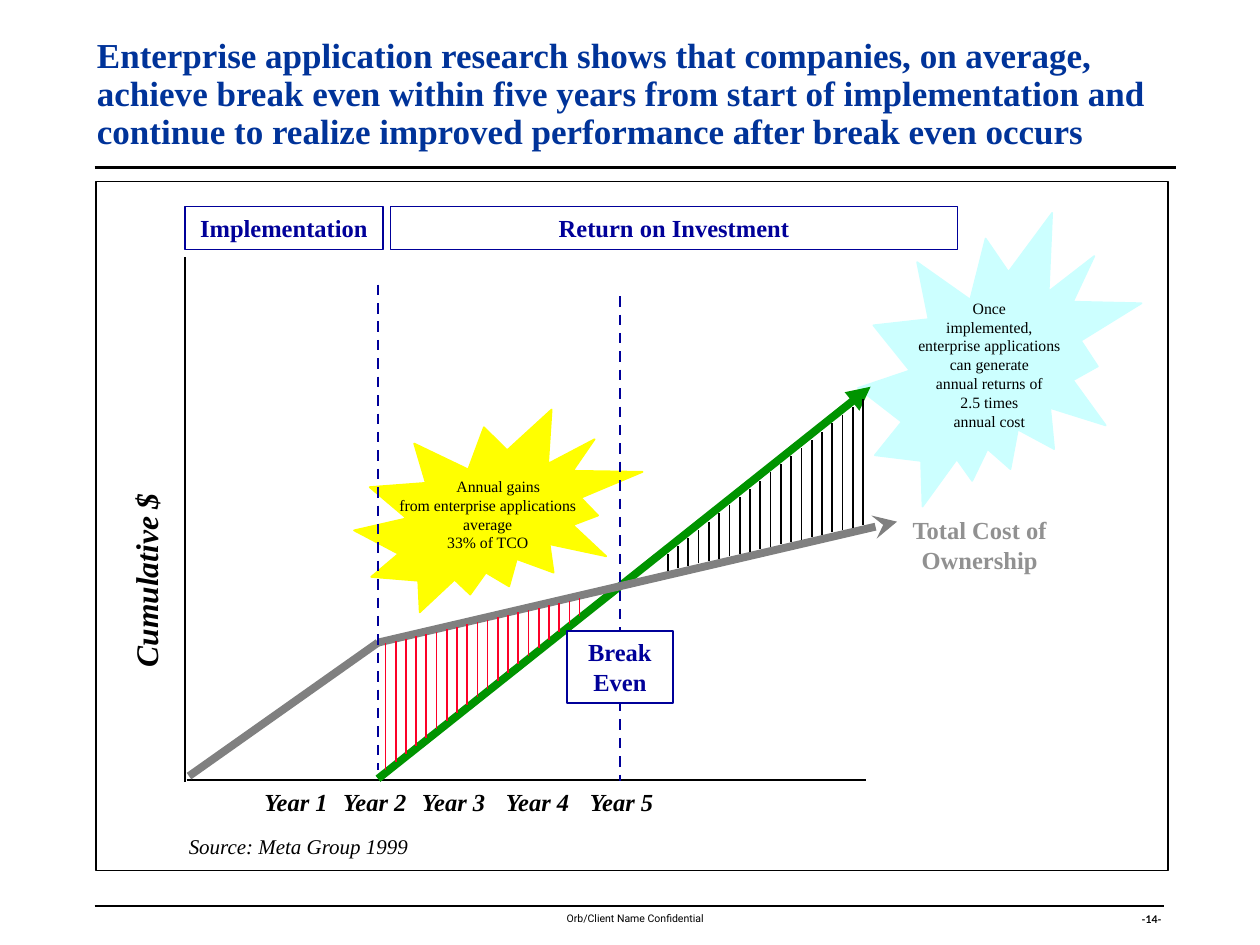
import pptx
import pptx.dml.color
import pptx.enum.dml
import pptx.enum.shapes
import pptx.enum.text
import pptx.oxml.ns
import pptx.util
from lxml import etree

Pt = pptx.util.Pt
RGBColor = pptx.dml.color.RGBColor
SHAPES = pptx.enum.shapes.MSO_SHAPE
ALIGN = pptx.enum.text.PP_ALIGN
ANCHOR = pptx.enum.text.MSO_ANCHOR
qn = pptx.oxml.ns.qn

BLACK = RGBColor(0x00, 0x00, 0x00)
WHITE = RGBColor(0xFF, 0xFF, 0xFF)
TITLE_BLUE = RGBColor(0x00, 0x33, 0x99)
NAVY = RGBColor(0x00, 0x00, 0x99)
GREEN = RGBColor(0x00, 0x94, 0x00)
GRAY = RGBColor(0x80, 0x80, 0x80)
LABEL_GRAY = RGBColor(0x91, 0x91, 0x91)
RED = RGBColor(0xFC, 0x01, 0x28)
YELLOW = RGBColor(0xFF, 0xFF, 0x00)
PALE_CYAN = RGBColor(0xCC, 0xFF, 0xFF)

SERIF = "Times New Roman"
TITLE = (
    "Enterprise application research shows that companies, on average, "
    "achieve break even within five years from start of implementation and "
    "continue to realize improved performance after break even occurs"
)

# Ends of the two crossing lines of the graph
COST_START, COST_END = (216, 367.2), (512.6, 298.1)
RETURN_START, RETURN_END = (216, 445), (497.5, 221)
HATCH_COUNT = 20


def fill_text(shape, lines, size, color=BLACK, font=SERIF, bold=False, italic=False,
              align=ALIGN.LEFT, anchor=ANCHOR.TOP, wrap=True):
    frame = shape.text_frame
    frame.word_wrap = wrap
    frame.vertical_anchor = anchor
    frame.margin_left = frame.margin_right = Pt(7.2)
    frame.margin_top = frame.margin_bottom = Pt(3.6)
    for index, line in enumerate(lines):
        para = frame.add_paragraph() if index else frame.paragraphs[0]
        para.alignment = align
        span = para.add_run()
        span.text = line
        span.font.name = font
        span.font.size = Pt(size)
        span.font.bold = bold
        span.font.italic = italic
        span.font.color.rgb = color
    return frame


def add_label(page, place, lines, size, **style):
    box = page.shapes.add_textbox(*map(Pt, place))
    fill_text(box, lines, size, **style)
    return box


def add_figure(page, kind, place, fill, outline):
    figure = page.shapes.add_shape(kind, *map(Pt, place))
    figure.shadow.inherit = False
    figure.fill.solid()
    figure.fill.fore_color.rgb = fill
    figure.line.color.rgb = outline
    figure.line.width = Pt(1)
    return figure


def add_heading_box(page, place, text):
    box = add_figure(page, SHAPES.RECTANGLE, place, WHITE, NAVY)
    fill_text(box, [text], 14, color=NAVY, bold=True, align=ALIGN.CENTER)


def add_burst(page, place, color, lines):
    burst = add_figure(page, SHAPES.EXPLOSION2, place, color, color)
    return fill_text(burst, lines, 9, align=ALIGN.CENTER, anchor=ANCHOR.MIDDLE, wrap=False)


def add_line(page, start, end, color=BLACK, width=1, dashed=False, arrow=None):
    line = page.shapes.add_connector(
        pptx.enum.shapes.MSO_CONNECTOR.STRAIGHT, *map(Pt, start + end))
    line.line.color.rgb = color
    line.line.width = Pt(width)
    if dashed:
        line.line.dash_style = pptx.enum.dml.MSO_LINE.DASH
    properties = line._element.spPr
    if arrow:
        etree.SubElement(properties.find(qn("a:ln")), qn("a:tailEnd"), type=arrow)
    etree.SubElement(properties, qn("a:effectLst"))


def height_at(x, start, end):
    return start[1] + (x - start[0]) * (end[1] - start[1]) / (end[0] - start[0])


def add_hatching(page, first, last, color, cost_gap, return_gap):
    """Fill the area between cost and return with evenly spaced vertical lines."""
    step = (last - first) / (HATCH_COUNT - 1)
    for index in range(HATCH_COUNT):
        x = first + index * step
        cost = height_at(x, COST_START, COST_END) + cost_gap
        gain = height_at(x, RETURN_START, RETURN_END) + return_gap
        add_line(page, (x, cost), (x, gain), color)


def add_title(page):
    title = page.shapes.title
    title.left, title.top, title.width, title.height = map(Pt, (48.2, 30.2, 617.8, 48.2))
    frame = fill_text(title, [TITLE], 20, color=TITLE_BLUE, bold=True, anchor=ANCHOR.MIDDLE)
    frame.auto_size = pptx.enum.text.MSO_AUTO_SIZE.NONE
    frame.paragraphs[0].line_spacing = 0.9


def add_footer(page):
    add_label(page, (59.8, 517.7, 606.2, 14.4), ["Orb/Client Name Confidential"], 6,
              font="Roboto", align=ALIGN.CENTER)
    number = add_label(page, (570.2, 518.4, 105.1, 20.9), ["-14-"], 6,
                       font="Lato", bold=True, align=ALIGN.RIGHT)
    number.text_frame.margin_right = Pt(11.5)
    add_line(page, (54, 517.7), (665.3, 517.7))


def add_bursts(page):
    add_burst(page, (490.3, 121.7, 162, 167.8), PALE_CYAN, [
        "Once", "implemented,", "enterprise applications", "can generate",
        "annual returns of", "2.5 times", "annual cost"])
    gains = add_burst(page, (202.3, 234, 164.9, 115.9), YELLOW, [
        "Annual gains", "from enterprise applications", "average", "33% of TCO"])
    gains.paragraphs[0]._p.get_or_add_pPr().set("marL", str(Pt(12)))


def add_axes(page):
    add_line(page, (105.8, 146.9), (105.8, 447.1))
    add_line(page, (106.6, 445.7), (494.6, 445.7))
    for year, left in enumerate((144, 189, 234, 282, 330), start=1):
        add_label(page, (left, 446.4, 65.5, 24.5), [f"Year {year}"], 14,
                  bold=True, italic=True)
    axis_name = add_label(page, (23.8, 314.6, 118.8, 28.8), ["Cumulative $"], 18,
                          bold=True, italic=True)
    axis_name.rotation = 270


def add_graph(page):
    # Return line and break-even marker
    add_line(page, RETURN_START, RETURN_END, GREEN, 4.5, arrow="triangle")
    add_line(page, (354.2, 169.2), (354.2, 446.4), NAVY, 1.5, dashed=True)
    add_heading_box(page, (324, 360.7, 60.5, 41), "Break Even")

    # Cost of ownership
    add_line(page, COST_START, COST_END, GRAY, 4.5, arrow="stealth")
    add_line(page, (108, 443.5), COST_START, GRAY, 4.5)
    add_label(page, (511.9, 290.9, 95.8, 41), ["Total Cost of", "Ownership"], 14,
              color=LABEL_GRAY, bold=True, align=ALIGN.CENTER, wrap=False)

    # End of implementation, loss and gain areas
    add_line(page, (216, 162.7), (216, 439.9), NAVY, 1.5, dashed=True)
    add_hatching(page, 220.3, 331.2, RED, 1.5, -1.5)
    add_hatching(page, 381.6, 493.2, BLACK, -2.5, 3.5)


def main():
    deck = pptx.Presentation()
    deck.slide_width, deck.slide_height = Pt(720), Pt(540)
    page = deck.slides.add_slide(deck.slide_layouts[5])

    # Page furniture
    add_footer(page)
    add_line(page, (54, 95.8), (671.8, 95.8), width=2)
    add_figure(page, SHAPES.RECTANGLE, (54.7, 103.7, 612.7, 393.8), WHITE, BLACK)
    add_title(page)
    add_label(page, (100.8, 473, 263.5, 21.6), ["Source: Meta Group 1999"], 12, italic=True)

    # Diagram
    add_bursts(page)
    add_axes(page)
    add_graph(page)
    add_heading_box(page, (105.8, 118.1, 113, 24.5), "Implementation")
    add_heading_box(page, (223.2, 118.1, 324, 24.5), "Return on Investment")

    deck.save("out.pptx")


if __name__ == "__main__":
    main()
